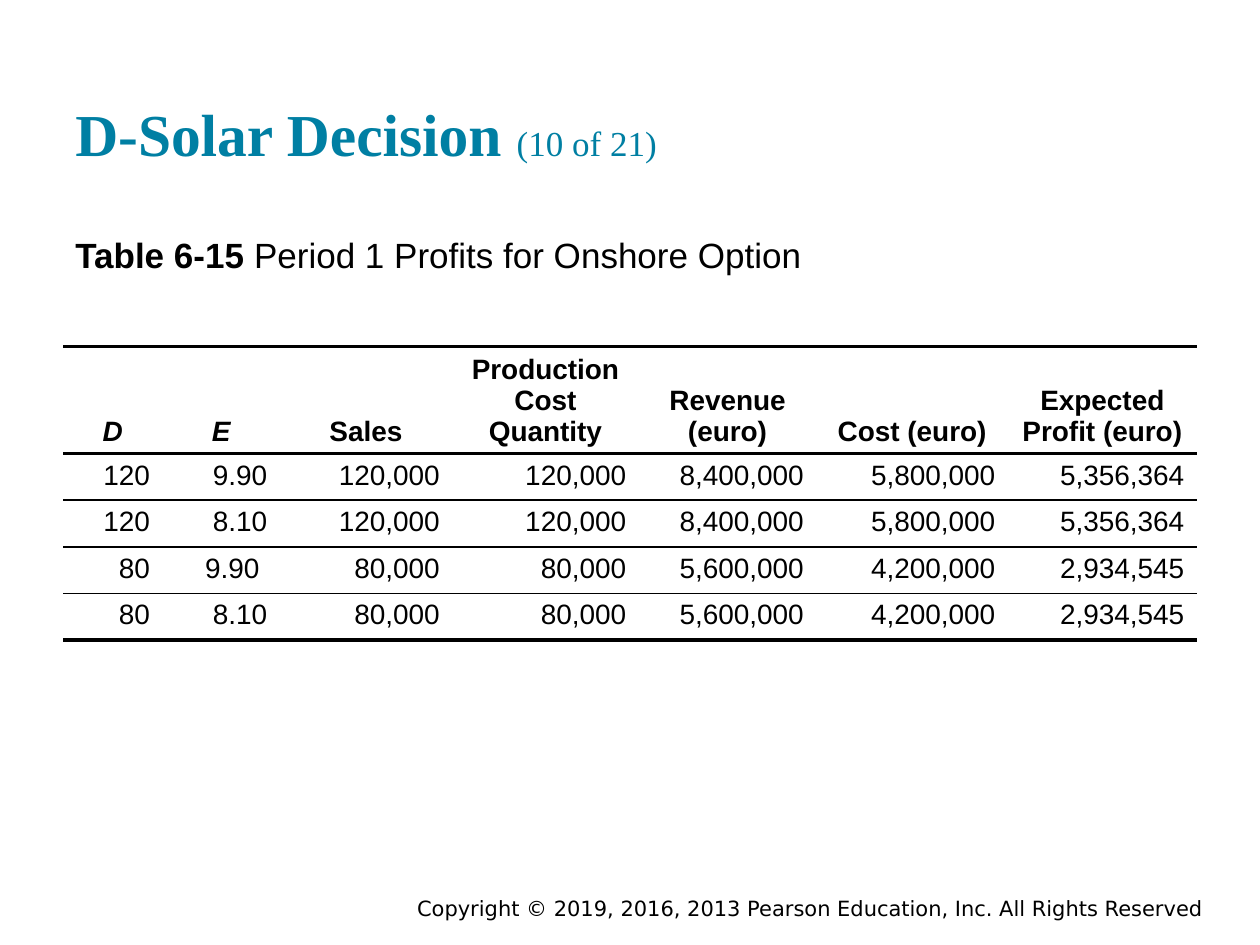
from lxml import etree
from pptx import Presentation
from pptx.dml.color import RGBColor
from pptx.enum.text import MSO_ANCHOR, PP_ALIGN
from pptx.oxml.ns import qn
from pptx.util import Inches, Pt

TOP, MIDDLE, BOTTOM = MSO_ANCHOR.TOP, MSO_ANCHOR.MIDDLE, MSO_ANCHOR.BOTTOM
LEFT, CENTER, RIGHT = PP_ALIGN.LEFT, PP_ALIGN.CENTER, PP_ALIGN.RIGHT
COLORS = {"title": "007FA3", "text": "000000", "cell": "FFFFFF"}
NO_STYLE = "{2D5ABB26-0587-4C30-8999-92F81FD0307C}"
MARGIN, WIDTH = 0.5, 9


def add_text(box, runs, font, color, anchor, align=LEFT, inset=0.1):
    """Add a one-paragraph text box; runs are (text, size, bold)."""
    tf = s.shapes.add_textbox(*[Inches(v) for v in box]).text_frame
    tf.word_wrap = True
    tf.vertical_anchor = anchor
    tf.margin_top = tf.margin_bottom = Inches(inset)
    p = tf.paragraphs[0]
    p.alignment = align
    p.font.name = font
    p.font.color.rgb = RGBColor.from_string(COLORS[color])
    for text, size, bold in runs:
        r = p.add_run()
        r.text = text
        r.font.size = Pt(size)
        r.font.bold = bold


def set_borders(cell, top, bottom):
    """Draw the top and bottom rules of a cell, widths in points."""
    tcPr = cell._tc.get_or_add_tcPr()
    for i, (tag, width) in enumerate((("a:lnT", top), ("a:lnB", bottom))):
        ln = etree.Element(qn(tag), w=str(Pt(width)))
        fill = etree.SubElement(ln, qn("a:solidFill"))
        etree.SubElement(fill, qn("a:srgbClr"), val=COLORS["text"])
        tcPr.insert(i, ln)


prs = Presentation()
prs.slide_width, prs.slide_height = Inches(10), Inches(7.5)
s = prs.slides.add_slide(prs.slide_layouts[6])

# Footer, title and table caption
add_text((3, 7.08, 6.65, 0.25),
         [("Copyright © 2019, 2016, 2013 Pearson Education, Inc. All Rights Reserved", 12, False)],
         "DejaVu Sans", "text", MIDDLE, RIGHT, 0)
add_text((MARGIN, 0.67, WIDTH, 0.77),
         [("D-Solar Decision ", 34, True), ("(10 of 21)", 20, False)],
         "Times New Roman", "title", BOTTOM)
add_text((MARGIN, 1.75, WIDTH, 0.46),
         [("Table 6-15 ", 20, True), ("Period 1 Profits for Onshore Option", 20, False)],
         "Arial", "text", TOP)

# Profit table
rows = [
    ["D", "E", "Sales", "Production Cost Quantity", "Revenue (euro)", "Cost (euro)",
     "Expected Profit (euro)"],
    ["120", "9.90", "120,000", "120,000", "8,400,000", "5,800,000", "5,356,364"],
    ["120", "8.10", "120,000", "120,000", "8,400,000", "5,800,000", "5,356,364"],
    ["80", "9.90 ", "80,000", "80,000", "5,600,000", "4,200,000", "2,934,545"],
    ["80", "8.10", "80,000", "80,000", "5,600,000", "4,200,000", "2,934,545"],
]
col_widths = [0.79, 0.93, 1.37, 1.48, 1.41, 1.52, 1.5]
row_heights = [0.85] + [0.37] * 4
rules = [1.5, 1.5, 1, 1, 1, 2.25]  # horizontal rules from top to bottom

table = s.shapes.add_table(len(rows), len(col_widths), Inches(MARGIN), Inches(2.75),
                           Inches(WIDTH), Inches(sum(row_heights))).table
table._tbl.tblPr.find(qn("a:tableStyleId")).text = NO_STYLE
table.horz_banding = False
for col, width in zip(table.columns, col_widths):
    col.width = Inches(width)
for i, row in enumerate(rows):
    table.rows[i].height = Inches(row_heights[i])
    header = i == 0
    for j, text in enumerate(row):
        cell = table.cell(i, j)
        cell.text = text
        cell.vertical_anchor = BOTTOM if header else TOP
        cell.margin_top = Inches(0 if header else 0.05)
        cell.fill.solid()
        cell.fill.fore_color.rgb = RGBColor.from_string(COLORS["cell"])
        set_borders(cell, rules[i], rules[i + 1])
        p = cell.text_frame.paragraphs[0]
        p.alignment = CENTER if header else RIGHT
        p.font.name = "Arial"
        p.font.size = Pt(16)
        p.font.bold = header
        p.font.italic = header and j < 2
        p.font.color.rgb = RGBColor.from_string(COLORS["text"])

prs.save("out.pptx")
